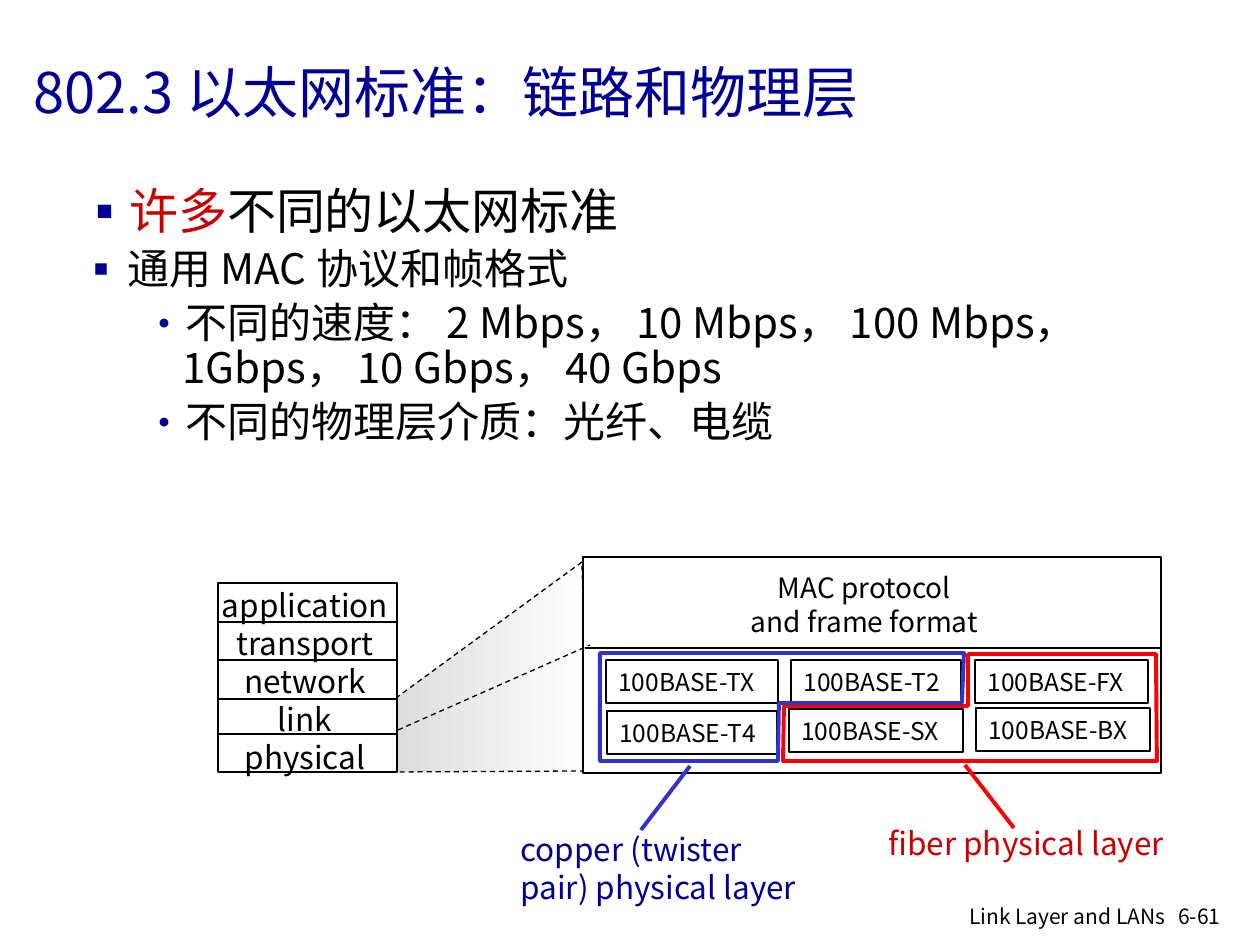
from typing import NamedTuple

from lxml.etree import SubElement
from pptx import Presentation
from pptx.dml.color import RGBColor
from pptx.enum.dml import MSO_LINE_DASH_STYLE as Dash
from pptx.enum.shapes import MSO_CONNECTOR as Connector, MSO_SHAPE as Preset
from pptx.enum.text import MSO_ANCHOR as Anchor, PP_ALIGN as Align
from pptx.oxml.ns import qn
from pptx.util import Pt

FONT = "Noto Sans CJK SC"
EMU_PER_PX = 914400 / 126
LINE_HEIGHT = 1.2

BLACK = RGBColor(0x00, 0x00, 0x00)
WHITE = RGBColor(0xFF, 0xFF, 0xFF)
GREY = RGBColor(0xDD, 0xDD, 0xDD)
NAVY = RGBColor(0x00, 0x00, 0x99)
DARK_RED = RGBColor(0xCC, 0x00, 0x00)
RED = RGBColor(0xFF, 0x00, 0x00)
BLUE = RGBColor(0x33, 0x33, 0xCC)


class Box(NamedTuple):
    left: int
    top: int
    width: int
    height: int


class Standard(NamedTuple):
    name: str
    box: Box


class Medium(NamedTuple):
    outline: list[tuple[int, int]]
    pointer: tuple[int, int, int, int]
    line_color: RGBColor
    outline_width: float
    label: str
    label_box: Box
    label_color: RGBColor


class Bullet(NamedTuple):
    runs: list[tuple[str, RGBColor]]
    size: int
    mark: str
    margin: int
    hanging: int


STANDARDS = [
    Standard("100BASE-TX", Box(606, 660, 172, 43)),
    Standard("100BASE-T4", Box(607, 711, 170, 43)),
    Standard("100BASE-FX", Box(975, 660, 173, 43)),
    Standard("100BASE-T2", Box(791, 660, 170, 43)),
    Standard("100BASE-SX", Box(789, 709, 174, 43)),
    Standard("100BASE-BX", Box(976, 708, 174, 43)),
]
MEDIA = [
    Medium([(968, 654), (968, 706), (784, 706), (783, 761), (1157, 761), (1156, 654)],
           (965, 765, 1014, 828), RED, 2.25,
           "fiber physical layer", Box(876, 818, 309, 50), DARK_RED),
    Medium([(964, 653), (962, 703), (779, 703), (778, 761), (600, 761), (600, 653)],
           (690, 766, 641, 830), BLUE, 2.25,
           "copper (twister\npair) physical layer", Box(508, 823, 307, 90), NAVY),
]
BULLETS = [
    Bullet([("许多", DARK_RED), ("不同的以太网标准", BLACK)], 28, "▪", 47, 47),
    Bullet([("通用 MAC 协议和帧格式", BLACK)], 24, "▪", 47, 47),
    Bullet([("不同的速度： 2 Mbps， 10 Mbps， 100 Mbps， 1Gbps， 10 Gbps， 40 Gbps", BLACK)],
           24, "•", 102, 39),
    Bullet([("不同的物理层介质：光纤、电缆", BLACK)], 24, "•", 102, 39),
]


def px(length: float) -> int:
    return round(length * EMU_PER_PX)


def add_run(paragraph, text: str, size: float, color: RGBColor) -> None:
    run = paragraph.add_run()
    run.text = text
    run.font.size = Pt(size)
    run.font.name = FONT
    run.font.color.rgb = color
    SubElement(run.font._element, qn("a:ea"), typeface=FONT)


def write(shape, text: str, *, size: float, color: RGBColor = BLACK,
          align=Align.LEFT) -> None:
    """Fill a shape with one paragraph per line of text, centred vertically."""
    frame = shape.text_frame
    frame.vertical_anchor = Anchor.MIDDLE
    frame.word_wrap = align != Align.CENTER
    lines = text.split("\n")
    for index, line in enumerate(lines):
        paragraph = frame.add_paragraph() if index else frame.paragraphs[0]
        paragraph.alignment = align
        if len(lines) > 1:
            paragraph.line_spacing = Pt(size * LINE_HEIGHT)
        add_run(paragraph, line, size, color)


def add_label(slide, box: Box, text: str, **text_format) -> None:
    write(slide.shapes.add_textbox(*map(px, box)), text, **text_format)


def add_rectangle(slide, box: Box, fill: RGBColor | None = None):
    shape = slide.shapes.add_shape(Preset.RECTANGLE, *map(px, box))
    shape.shadow.inherit = False
    if fill is None:
        shape.fill.background()
    else:
        shape.fill.solid()
        shape.fill.fore_color.rgb = fill
    set_line(shape.line)
    return shape


def set_line(line, color: RGBColor = BLACK, width: float = 0.75, dashed: bool = False) -> None:
    line.color.rgb = color
    line.width = Pt(width)
    if dashed:
        line.dash_style = Dash.DASH


def add_line(slide, ends: tuple[int, int, int, int], **line_format) -> None:
    connector = slide.shapes.add_connector(Connector.STRAIGHT, *map(px, ends))
    set_line(connector.line, **line_format)
    SubElement(connector._element.spPr, qn("a:effectLst"))


def add_polygon(slide, points: list[tuple[int, int]], **line_format):
    builder = slide.shapes.build_freeform(*points[0], scale=EMU_PER_PX)
    builder.add_line_segments(points[1:], close=True)
    shape = builder.convert_to_shape()
    shape.shadow.inherit = False
    shape.fill.background()
    set_line(shape.line, **line_format)
    return shape


def add_bullets(slide, box: Box, bullets: list[Bullet]) -> None:
    frame = slide.shapes.add_textbox(*map(px, box)).text_frame
    frame.word_wrap = True
    for index, bullet in enumerate(bullets):
        paragraph = frame.add_paragraph() if index else frame.paragraphs[0]
        paragraph.line_spacing = Pt(round(bullet.size * LINE_HEIGHT * 0.9, 1))
        if index:
            paragraph.space_before = Pt(bullet.size * 0.2)
        properties = paragraph._p.get_or_add_pPr()
        properties.set("marL", str(px(bullet.margin)))
        properties.set("indent", str(-px(bullet.hanging)))
        color = SubElement(properties, qn("a:buClr"))
        SubElement(color, qn("a:srgbClr"), val=str(NAVY))
        SubElement(properties, qn("a:buFont"), typeface=FONT)
        SubElement(properties, qn("a:buChar"), char=bullet.mark)
        for text, run_color in bullet.runs:
            add_run(paragraph, text, bullet.size, run_color)


def add_title(slide, box: Box, text: str) -> None:
    title = slide.shapes.title
    title.left, title.top, title.width, title.height = map(px, box)
    write(title, text, size=32, color=NAVY)


def add_protocol_stack(slide) -> None:
    add_rectangle(slide, Box(218, 583, 179, 189), WHITE)
    add_label(slide, Box(208, 579, 194, 204), "application\ntransport\nnetwork\nlink\nphysical",
              size=18, align=Align.CENTER)
    for y in (622, 660, 699, 734):
        add_line(slide, (218, y, 396, y))
    for x in (218, 397):
        add_line(slide, (x, 744, x, 767), dashed=True)


def add_ethernet_detail(slide) -> None:
    add_rectangle(slide, Box(583, 557, 578, 216), WHITE)
    add_line(slide, (585, 648, 1160, 648))
    add_label(slide, Box(733, 564, 263, 81), "MAC protocol\nand frame format",
              size=16, align=Align.CENTER)
    for standard in STANDARDS:
        write(add_rectangle(slide, standard.box), standard.name, size=14)
    add_line(slide, (398, 730, 590, 645), dashed=True)
    for medium in MEDIA:
        add_polygon(slide, medium.outline, color=medium.line_color, width=medium.outline_width)
        add_line(slide, medium.pointer, color=medium.line_color, width=2.25)
        add_label(slide, medium.label_box, medium.label, size=18, color=medium.label_color)


def main() -> None:
    presentation = Presentation()
    presentation.slide_width, presentation.slide_height = px(1260), px(945)
    slide = presentation.slides.add_slide(presentation.slide_layouts[5])
    add_title(slide, Box(21, 13, 1201, 157), "802.3 以太网标准：链路和物理层")
    add_bullets(slide, Box(68, 180, 1045, 290), BULLETS)

    fan = add_polygon(slide, [(582, 562), (396, 698), (397, 772), (588, 771)], dashed=True)
    fan.fill.gradient()
    fan.fill.gradient_angle = 0
    for stop, color, position in zip(fan.fill.gradient_stops, (GREY, WHITE), (0, 1)):
        stop.color.rgb = color
        stop.position = position

    add_protocol_stack(slide)
    add_ethernet_detail(slide)
    add_label(slide, Box(1166, 898, 76, 37), "6-61", size=12)
    add_label(slide, Box(878, 898, 300, 37), "Link Layer and LANs", size=12, align=Align.RIGHT)
    presentation.save("out.pptx")


if __name__ == "__main__":
    main()
